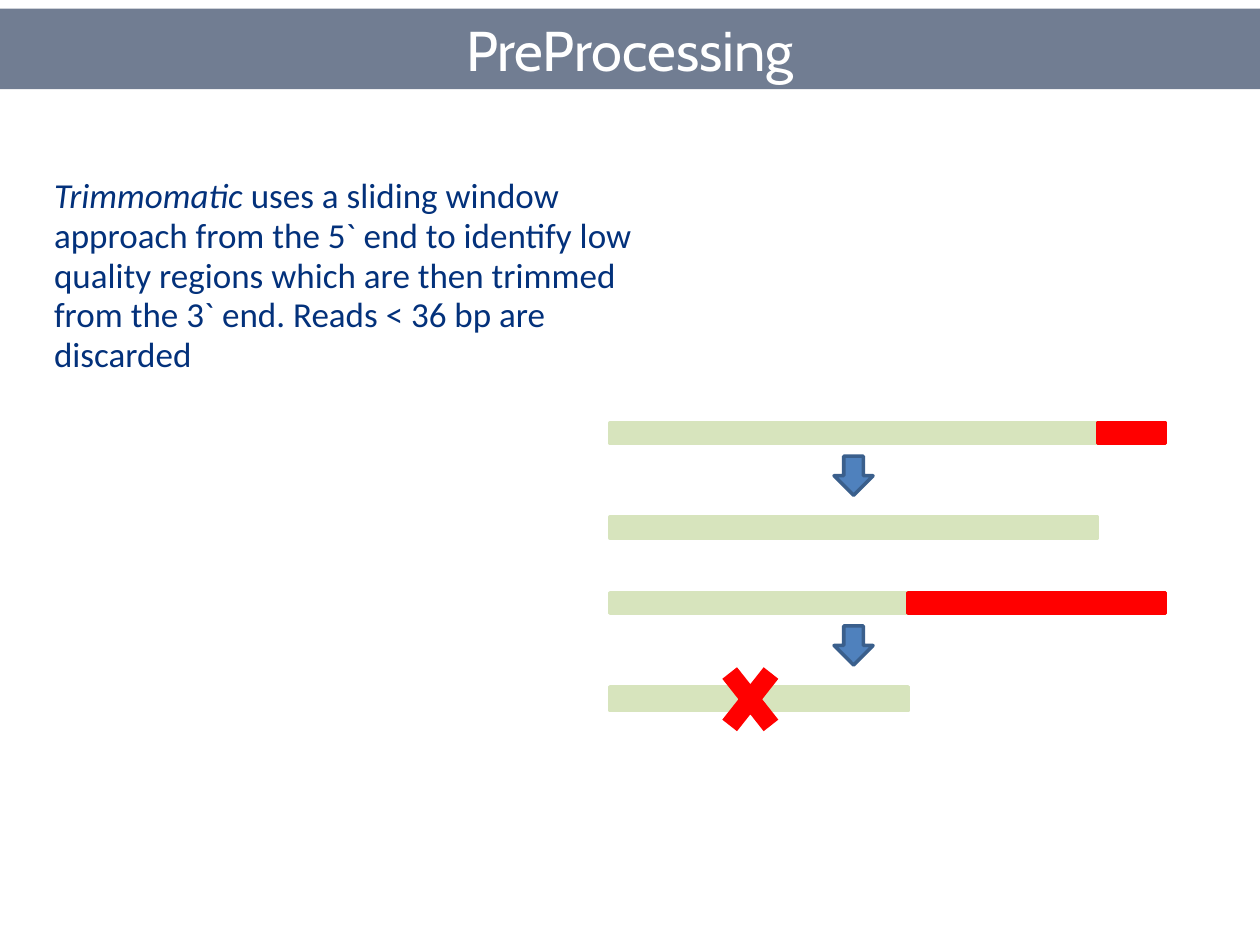
from lxml.etree import SubElement
from pptx import Presentation
from pptx.dml.color import RGBColor
from pptx.enum.shapes import MSO_SHAPE
from pptx.enum.text import MSO_ANCHOR, MSO_AUTO_SIZE, PP_ALIGN
from pptx.oxml.ns import qn
from pptx.util import Pt


def color(fmt, value):
    if hasattr(fmt, "solid"):
        fmt.solid()
        fmt = fmt.fore_color
    fmt.rgb = RGBColor.from_string(value)


def add_shape(kind, x, y, w, h, fill, line=None):
    sp = s.shapes.add_shape(kind, Pt(x), Pt(y), Pt(w), Pt(h))
    sp.shadow.inherit = False
    color(sp.fill, fill)
    if line:
        color(sp.line.fill, line)
        sp.line.width = Pt(2)
    else:
        sp.line.fill.background()


GREEN, RED = "D7E4BD", "FF0000"
LEFT, RIGHT = 348.5, 666

prs = Presentation()
prs.slide_width, prs.slide_height = Pt(720), Pt(540)
s = prs.slides.add_slide(prs.slide_layouts[5])

title = s.shapes.title
title.left, title.top, title.width, title.height = Pt(0), Pt(5), Pt(720), Pt(46)
color(title.fill, "02183E")
clr = title.fill._xPr.find(qn("a:solidFill"))[0]
SubElement(clr, qn("a:alpha"), val="56000")
tf = title.text_frame
tf.auto_size = MSO_AUTO_SIZE.NONE
tf.vertical_anchor = MSO_ANCHOR.MIDDLE
p = tf.paragraphs[0]
p.alignment = PP_ALIGN.CENTER
r = p.add_run()
r.text = "PreProcessing"
r.font.name, r.font.size = "Cabin", Pt(32)
color(r.font.color, "FFFFFF")

tb = s.shapes.add_textbox(Pt(23.8), Pt(97.2), Pt(360), Pt(122.4))
tf = tb.text_frame
tf.word_wrap = True
p = tf.paragraphs[0]
p.line_spacing = 0.95
for text, italic in [
    ("Trimmomatic", True),
    (" uses a sliding window approach from the 5` end to identify low quality "
     "regions which are then trimmed from the 3` end. Reads < 36 bp are discarded", False),
]:
    r = p.add_run()
    r.text = text
    r.font.name, r.font.size, r.font.italic = "Calibri", Pt(20), italic
    color(r.font.color, "03317B")

for top, cut, kept_h in [(241.7, 627.2, 12.2), (338.7, 519, 13.7)]:
    add_shape(MSO_SHAPE.RECTANGLE, LEFT, top, RIGHT - LEFT, 11.8, GREEN, GREEN)
    add_shape(MSO_SHAPE.RECTANGLE, cut, top, RIGHT - cut, 11.8, RED, RED)
    add_shape(MSO_SHAPE.DOWN_ARROW, 476.6, top + 19, 22.3, 22.3, "4F81BD", "3A5F8C")
    add_shape(MSO_SHAPE.RECTANGLE, LEFT, top + 53.7, cut - LEFT, kept_h, GREEN, GREEN)

add_shape(MSO_SHAPE.MATH_MULTIPLY, 406.1, 370.8, 45.4, 57.6, RED)

prs.save("out.pptx")
